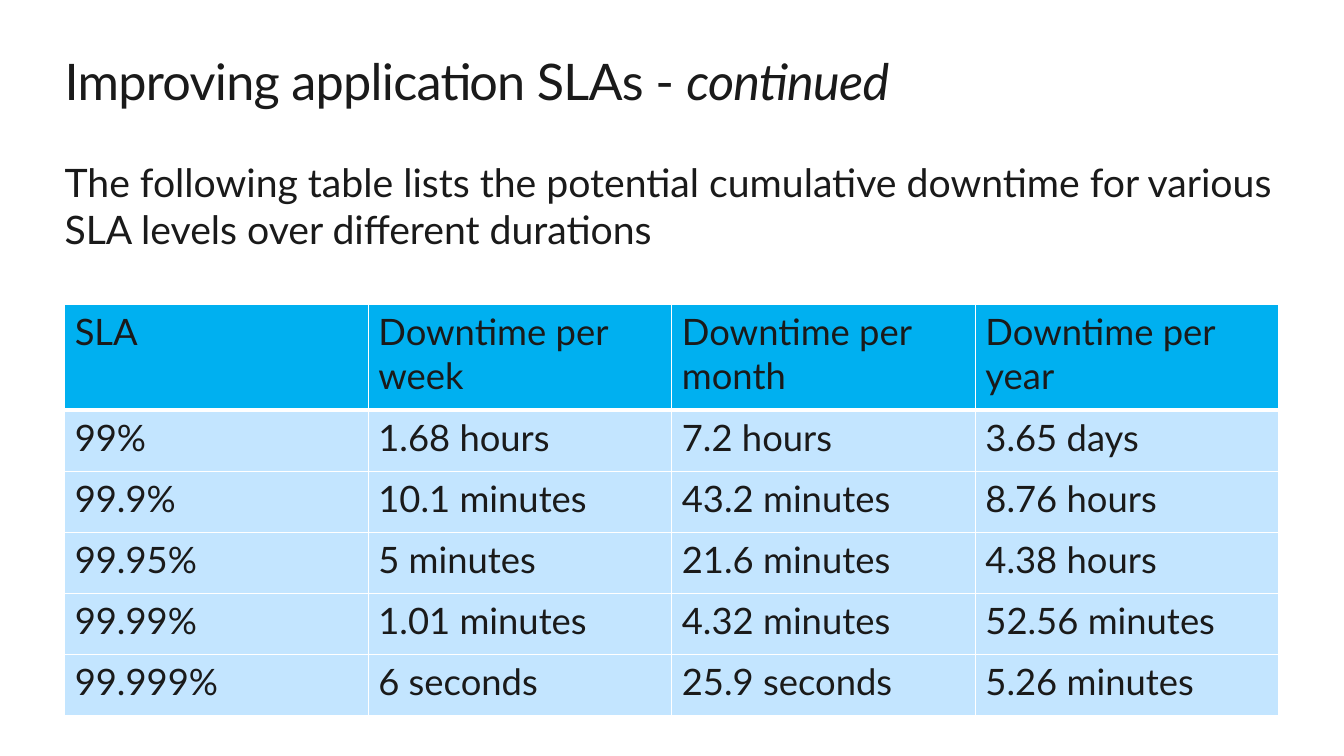
from dataclasses import dataclass

from lxml import etree
from pptx import Presentation
from pptx.dml.color import RGBColor
from pptx.enum.text import MSO_ANCHOR
from pptx.oxml.ns import qn
from pptx.util import Cm, Pt

TOP = MSO_ANCHOR.TOP


@dataclass(frozen=True)
class Theme:
    font: str = "Lato"
    ink: str = "1A1A1A"
    header: str = "00B0F0"
    row: str = "C3E5FF"
    border: str = "FFFFFF"
    title_size: int = 36
    body_size: int = 28
    table_size: int = 26


def add_span(para, text, *, theme, size, italic=None, spacing=None):
    """Add formatted text to a paragraph; spacing is in points."""
    span = para.add_run()
    span.text = text
    span.font.name = theme.font
    span.font.size = Pt(size)
    span.font.italic = italic
    span.font.color.rgb = RGBColor.from_string(theme.ink)
    if spacing is not None:
        span._r.get_or_add_rPr().set("spc", str(round(spacing * 100)))


class SlideBuilder:
    def __init__(self, page, theme):
        self.page = page
        self.theme = theme

    def text(self, left, top, width, height, spans, **style):
        box = self.page.shapes.add_textbox(Cm(left), Cm(top), Cm(width), Cm(height))
        frame = box.text_frame
        frame.word_wrap = True
        frame.vertical_anchor = TOP
        frame.margin_left = frame.margin_right = 0
        frame.margin_top = frame.margin_bottom = 0
        for words, italic in spans:
            add_span(frame.paragraphs[0], words, theme=self.theme, italic=italic, **style)

    def border(self, cell, side, points):
        properties = cell._tc.get_or_add_tcPr()
        line = etree.SubElement(properties, qn(f"a:ln{side}"), w=str(Pt(points)))
        fill = etree.SubElement(line, qn("a:solidFill"))
        etree.SubElement(fill, qn("a:srgbClr"), val=self.theme.border)

    def table(self, left, top, column_width, row_heights, rows):
        columns = len(rows[0])
        table = self.page.shapes.add_table(
            len(rows), columns, Cm(left), Cm(top),
            Cm(column_width * columns), Cm(sum(row_heights))).table
        for column in table.columns:
            column.width = Cm(column_width)
        for index, (height, values) in enumerate(zip(row_heights, rows)):
            table.rows[index].height = Cm(height)
            color = self.theme.header if index == 0 else self.theme.row
            for cell, value in zip(table.rows[index].cells, values):
                # Borders come before the fill; the header rule is heavier
                for side in "LRTB":
                    header_rule = (index, side) in ((0, "B"), (1, "T"))
                    self.border(cell, side, 3 if header_rule else 1)
                cell.fill.solid()
                cell.fill.fore_color.rgb = RGBColor.from_string(color)
                add_span(cell.text_frame.paragraphs[0], value,
                         theme=self.theme, size=self.theme.table_size)


LEFT = 1.63
TEXT_WIDTH = 30.6
DOWNTIME = [
    ("SLA", "Downtime per week", "Downtime per month", "Downtime per year"),
    ("99%", "1.68 hours", "7.2 hours", "3.65 days"),
    ("99.9%", "10.1 minutes", "43.2 minutes", "8.76 hours"),
    ("99.95%", "5 minutes", "21.6 minutes", "4.38 hours"),
    ("99.99%", "1.01 minutes", "4.32 minutes", "52.56 minutes"),
    ("99.999%", "6 seconds", "25.9 seconds", "5.26 minutes"),
]


def main():
    deck = Presentation()
    deck.slide_width, deck.slide_height = Cm(33.87), Cm(19.05)
    theme = Theme()
    builder = SlideBuilder(deck.slides.add_slide(deck.slide_layouts[6]), theme)

    # Title
    builder.text(LEFT, 1.27, TEXT_WIDTH, 1.55,
                 [("Improving application SLAs - ", None), ("continued", True)],
                 size=theme.title_size, spacing=-0.5)

    # Introduction
    builder.text(LEFT, 3.99, TEXT_WIDTH, 2.39,
                 [("The following table lists the potential cumulative downtime "
                   "for various SLA levels over different durations", None)],
                 size=theme.body_size)

    # Downtime table
    heights = [2.67] + [1.54] * (len(DOWNTIME) - 1)
    builder.table(LEFT, 7.67, 7.65, heights, DOWNTIME)

    deck.save("out.pptx")


if __name__ == "__main__":
    main()
